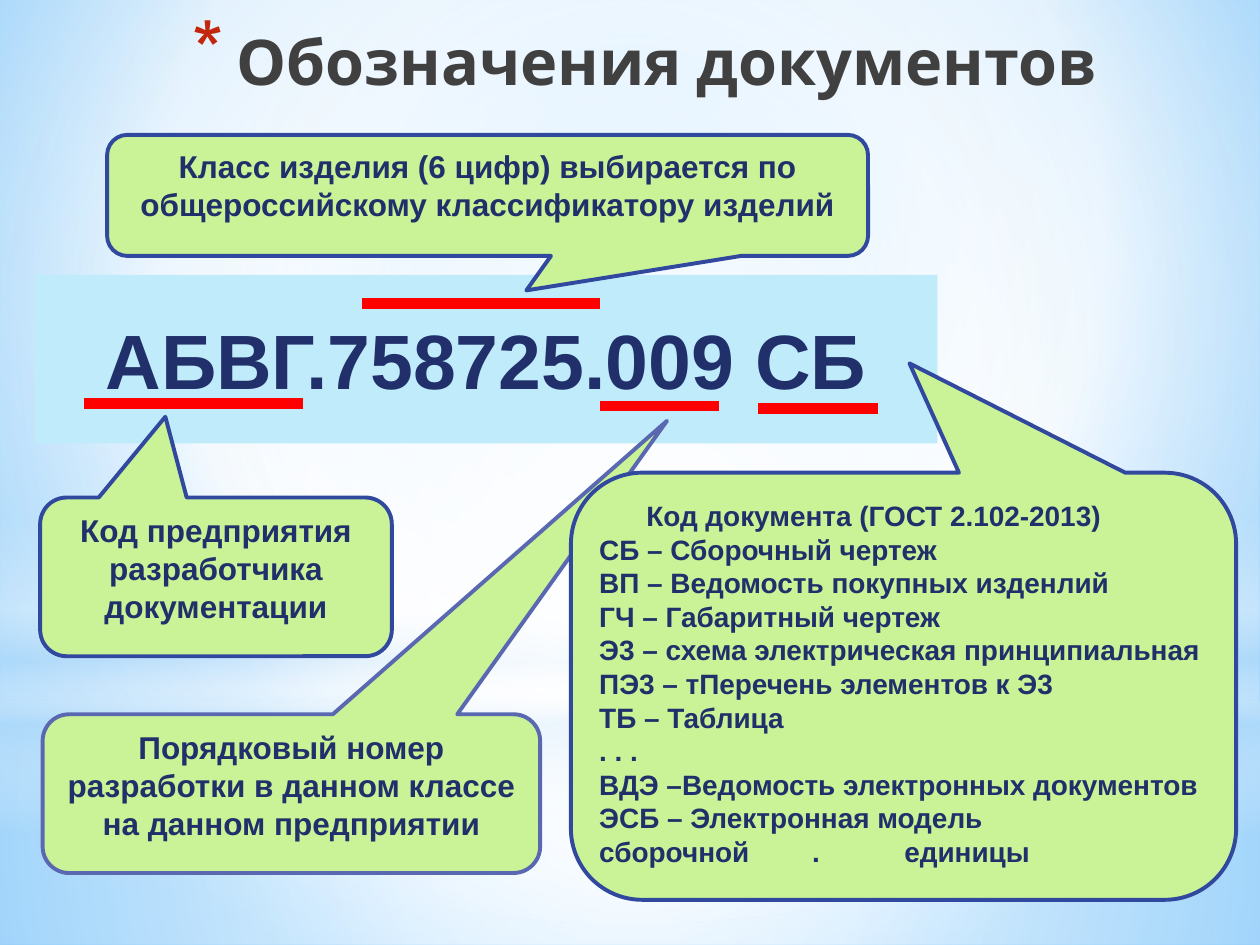
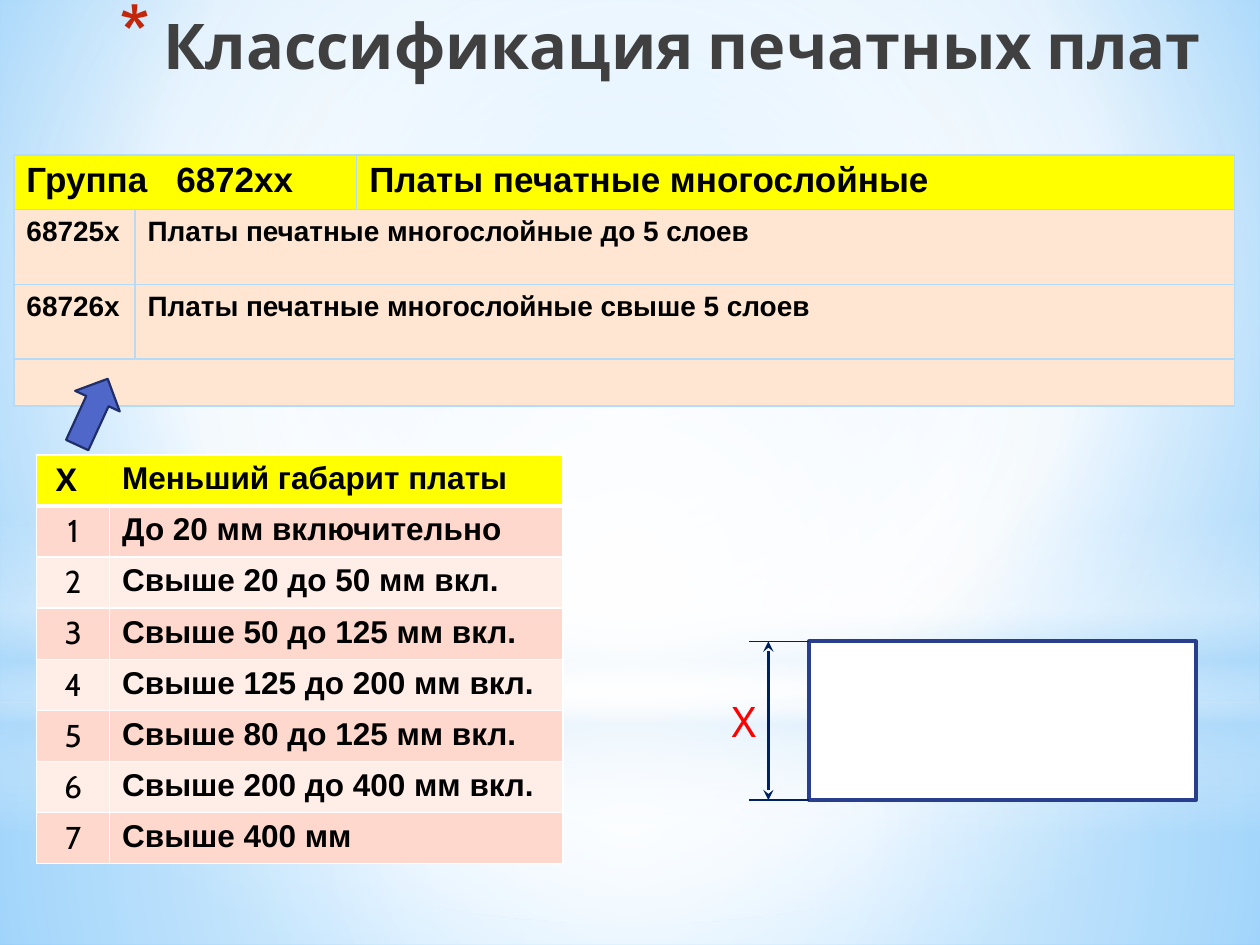
from dataclasses import dataclass

from pptx import Presentation
from pptx.dml.color import RGBColor
from pptx.enum.shapes import MSO_CONNECTOR, MSO_SHAPE
from pptx.enum.text import MSO_ANCHOR, MSO_AUTO_SIZE, PP_ALIGN
from pptx.oxml import parse_xml
from pptx.oxml.ns import nsdecls, qn
from pptx.util import Cm, Pt


@dataclass(frozen=True)
class TextStyle:
    size: float
    color: str
    font: str = "Arial"
    bold: bool = True
    align: PP_ALIGN = PP_ALIGN.LEFT


@dataclass(frozen=True)
class Theme:
    # Colours
    outline: str = "31489F"
    soft_outline: str = "5968B0"
    green: str = "CAF297"
    code_band: str = "BFEBFA"
    red: str = "FF0000"
    bullet: str = "C3260C"
    yellow: str = "FFFF00"
    peach: str = "FFE6D3"
    pink: str = "FFD8CD"
    pale_pink: str = "FFEDE8"
    sky: str = "B4DCFA"
    white: str = "FFFFFF"
    arrow: str = "4E67C8"
    arrow_line: str = "1F2E69"
    board_line: str = "2A3E8E"
    dimension: str = "002060"
    # Type
    title: TextStyle = TextStyle(36, "404040", "Cabin", align=PP_ALIGN.CENTER)
    code: TextStyle = TextStyle(44, "21306A", align=PP_ALIGN.CENTER)
    callout: TextStyle = TextStyle(18, "21306A", align=PP_ALIGN.CENTER)
    code_list: TextStyle = TextStyle(16, "21306A")
    group: TextStyle = TextStyle(20, "000000")
    subgroup: TextStyle = TextStyle(16, "000000")
    size_text: TextStyle = TextStyle(18, "000000")
    size_digit: TextStyle = TextStyle(18, "000000", "Cabin", False, PP_ALIGN.CENTER)
    size_head: TextStyle = TextStyle(18, "000000", "Cabin")
    dimension_label: TextStyle = TextStyle(24, "FF0000", "Cabin", False)


THEME = Theme()


def gradient(stops, focus=None, angle=0):
    """Gradient fill: stops are (position, colour, opacity) in percent."""
    marks = "".join(
        f'<a:gs pos="{pos * 1000}"><a:srgbClr val="{color}">'
        f'<a:alpha val="{alpha * 1000}"/></a:srgbClr></a:gs>'
        for pos, color, alpha in stops)
    if focus:
        sides = " ".join(f'{side}="{v * 1000}"' for side, v in zip("ltrb", focus))
        shade = f'<a:path path="circle"><a:fillToRect {sides}/></a:path>'
    else:
        shade = f'<a:lin ang="{angle * 60000}" scaled="0"/>'
    return parse_xml(f'<a:gradFill {nsdecls("a")} rotWithShape="1">'
                     f'<a:gsLst>{marks}</a:gsLst>{shade}</a:gradFill>')


def swap_solid(holder, fill):
    holder.replace(holder.find(qn("a:solidFill")), fill)


def indent(paragraph, left=0, first=0):
    props = paragraph._p.get_or_add_pPr()
    props.set("marL", str(Cm(left)))
    props.set("indent", str(Cm(first)))


def add_tabs(paragraph, *stops):
    marks = "".join(f'<a:tab pos="{Cm(stop)}" algn="l"/>' for stop in stops)
    paragraph._p.get_or_add_pPr().append(
        parse_xml(f'<a:tabLst {nsdecls("a")}>{marks}</a:tabLst>'))


class Deck:
    def __init__(self, theme):
        self.theme = theme
        self.prs = Presentation()
        self.prs.slide_width, self.prs.slide_height = Cm(25.4), Cm(19.05)
        self.slide = None

    def new_slide(self, title, left, top, width):
        self.slide = self.prs.slides.add_slide(self.prs.slide_layouts[5])
        heading = self.slide.shapes.title
        heading.left, heading.top, heading.width, heading.height = map(
            Cm, (left, top, width, 3.18))
        frame = heading.text_frame
        frame.auto_size = MSO_AUTO_SIZE.NONE
        frame.vertical_anchor = MSO_ANCHOR.TOP
        self.put_text(frame, [title], self.theme.title)
        line = frame.paragraphs[0]
        indent(line, 0.89, -0.89)
        for mark in (f'buClr {nsdecls("a")}><a:srgbClr val="{self.theme.bullet}"/></a:buClr',
                     f'buSzPct {nsdecls("a")} val="128000"/',
                     f'buChar {nsdecls("a")} char="*"/'):
            line._p.get_or_add_pPr().append(parse_xml(f"<a:{mark}>"))

    def put_text(self, frame, lines, style):
        frame.text = "\n".join(lines)
        for paragraph in frame.paragraphs:
            paragraph.alignment = style.align
            for run in paragraph.runs:
                run.font.name, run.font.size = style.font, Pt(style.size)
                run.font.bold = style.bold
                run.font.color.rgb = RGBColor.from_string(style.color)

    def shape(self, kind, box, fill, line=None, width=2.25):
        shape = self.slide.shapes.add_shape(kind, *map(Cm, box))
        shape.shadow.inherit = False
        shape.fill.solid()
        shape.fill.fore_color.rgb = RGBColor.from_string(fill)
        if line:
            shape.line.color.rgb = RGBColor.from_string(line)
            shape.line.width = Pt(width)
        else:
            shape.line.fill.background()
        return shape

    def callout(self, box, tip, lines, style, line):
        callout = self.shape(MSO_SHAPE.ROUNDED_RECTANGULAR_CALLOUT, box,
                             self.theme.green, line)
        for i, value in enumerate((*tip, 0.167)):
            callout.adjustments[i] = value
        callout.text_frame.vertical_anchor = MSO_ANCHOR.TOP
        self.put_text(callout.text_frame, lines, style)
        return callout.text_frame

    def line(self, x1, y1, x2, y2, color, width, arrows=False):
        line = self.slide.shapes.add_connector(
            MSO_CONNECTOR.STRAIGHT, *map(Cm, (x1, y1, x2, y2)))
        line.line.color.rgb = RGBColor.from_string(color)
        line.line.width = Pt(width)
        if arrows:
            for end in ("headEnd", "tailEnd"):
                line.line._get_or_add_ln().append(
                    parse_xml(f'<a:{end} {nsdecls("a")} type="stealth"/>'))
        line.element.spPr.append(parse_xml(f'<a:effectLst {nsdecls("a")}/>'))

    def label(self, box, text, style):
        label = self.slide.shapes.add_textbox(*map(Cm, box))
        label.text_frame.word_wrap = True
        self.put_text(label.text_frame, [text], style)

    def table(self, left, top, widths, heights, rows, fills, styles, border, head_rule=1):
        table = self.slide.shapes.add_table(
            len(rows), len(widths), Cm(left), Cm(top),
            Cm(sum(widths)), Cm(sum(heights))).table
        for column, width in zip(table.columns, widths):
            column.width = Cm(width)
        for r, (texts, height, fill) in enumerate(zip(rows, heights, fills)):
            table.rows[r].height = Cm(height)
            for c, (text, style) in enumerate(zip(texts, styles)):
                cell = table.cell(r, c)
                self.put_text(cell.text_frame, [text], style)
                self.borders(cell, border, {"T": head_rule if r == 1 else 1,
                                            "B": head_rule if r == 0 else 1})
                cell.fill.solid()
                cell.fill.fore_color.rgb = RGBColor.from_string(fill)
        return table

    def borders(self, cell, color, widths):
        props = cell._tc.get_or_add_tcPr()
        for side in "LRTB":
            props.append(parse_xml(
                f'<a:ln{side} {nsdecls("a")} w="{Pt(widths.get(side, 1))}"><a:solidFill>'
                f'<a:srgbClr val="{color}"/></a:solidFill></a:ln{side}>'))

    def paint_master(self):
        """Background and light bands shared by all slides."""
        master = self.prs.slide_master
        master.background.fill.solid()
        swap_solid(master.element.xpath("p:cSld/p:bg/p:bgPr")[0], gradient(
            [(0, "9ED5FF", 100), (60, "FFFFFF", 100), (100, "5BB9FF", 100)],
            (20, 10, 20, 60)))
        white, sky, center = self.theme.white, self.theme.sky, (50, 50, 50, 50)
        rect, oval = MSO_SHAPE.RECTANGLE, MSO_SHAPE.OVAL
        bands = [
            (rect, 14.17, 4.88, gradient(
                [(0, white, 91), (37, white, 76), (100, sky, 79)], center)),
            (rect, 0, 14.17, gradient(
                [(0, white, 89), (48, white, 62), (100, sky, 79)], center)),
            (rect, 10.46, 6.35, gradient(
                [(0, white, 0), (29, white, 30), (45, sky, 40), (55, white, 26),
                 (65, sky, 60), (100, white, 0)], angle=90)),
            (oval, 4.45, 14.17, gradient([(0, white, 100), (56, white, 0)], center)),
        ]
        for i, (kind, top, height, fill) in enumerate(bands):
            band = self.shape(kind, (0, top, 25.4, height), white).element
            swap_solid(band.spPr, fill)
            band.nvSpPr.cNvPr.set("id", str(100 + i))
            master.shapes.element.insert(2 + i, band)


def designations(deck):
    t = deck.theme
    deck.new_slide("Обозначения документов", 1.9, 0.33, 22.2)
    deck.paint_master()

    # Sample code
    code = deck.shape(MSO_SHAPE.RECTANGLE, (0.71, 5.54, 18.19, 3.4), t.code_band)
    deck.put_text(code.text_frame, ["АБВГ.758725.009 СБ"], t.code)

    # Parts of the code
    deck.callout((2.16, 2.72, 15.34, 2.44), (0.051, 0.785),
                 ["Класс изделия (6 цифр) выбирается по общероссийскому "
                  "классификатору изделий"], t.callout, t.outline)
    for x1, x2, y in ((7.29, 12.09, 6.12), (12.09, 14.5, 8.18), (1.7, 6.1, 8.13)):
        deck.line(x1, y, x2, y, t.red, 6)
    deck.callout((0.81, 10.03, 7.09, 3.2), (-0.144, -1.009),
                 ["Код предприятия разработчика документации"], t.callout, t.outline)
    deck.callout((0.86, 14.4, 10.03, 3.2), (0.755, -2.349),
                 ["Порядковый номер разработки в данном классе на данном предприятии"],
                 t.callout, t.soft_outline)

    # Document codes
    codes = deck.callout((11.51, 9.53, 13.41, 8.61), (0.009, -0.756), [
        "Код документа (ГОСТ 2.102-2013)",
        "СБ – Сборочный чертеж",
        "ВП – Ведомость покупных изденлий",
        "ГЧ – Габаритный чертеж",
        "Э3 – схема электрическая принципиальная",
        "ПЭ3 – тПеречень элементов к Э3",
        "ТБ – Таблица",
        ". . .",
        "ВДЭ –Ведомость электронных документов",
        "ЭСБ – Электронная модель\vсборочной\t.\tединицы",
    ], t.code_list, t.outline)
    codes.margin_left = codes.margin_right = Cm(0.15)
    codes.margin_top = codes.margin_bottom = Cm(0.1)
    indent(codes.paragraphs[0], first=0.95)
    add_tabs(codes.paragraphs[-1], 4.29, 6.15)
    deck.line(15.29, 8.23, 17.7, 8.23, t.red, 6)


def board_classes(deck):
    t = deck.theme
    deck.new_slide("Классификация печатных плат", 2.11, 0, 22.4)

    # Subgroups, with the first row reaching under the group heading
    subgroups = deck.table(
        0.28, 3.5, (2.44, 22.17), (2.24, 1.5, 0.94),
        [("68725х", "Платы печатные многослойные до 5 слоев"),
         ("68726х", "Платы печатные многослойные свыше 5 слоев"),
         ("", "")],
        [t.peach] * 3, [t.subgroup] * 2, t.sky)
    for c in range(2):
        subgroups.cell(0, c).margin_top = Cm(0.86)
        subgroups.cell(2, c).margin_top = 0
    subgroups.cell(2, 0).merge(subgroups.cell(2, 1))

    # Board sizes
    ranges = ["До 20 мм включительно", "Свыше 20 до 50 мм вкл.",
              "Свыше 50 до 125 мм вкл.", "Свыше 125 до 200 мм вкл.",
              "Свыше 80 до 125 мм вкл.", "Свыше 200 до 400 мм вкл.", "Свыше 400 мм"]
    digits = [(str(n), text) for n, text in enumerate(ranges, 1)]
    stripes = [t.pale_pink if i % 2 else t.pink for i in range(len(ranges))]
    sizes = deck.table(
        0.74, 9.17, (1.47, 9.14), [1.03] * 8,
        [("Х", "Меньший габарит платы"), *digits],
        [t.yellow, *stripes], [t.size_digit, t.size_text], t.white, head_rule=3)
    size_head = sizes.cell(0, 0).text_frame
    deck.put_text(size_head, ["Х"], t.size_head)
    indent(size_head.paragraphs[0], 0.13)

    # Pointer to the digit
    pointer = deck.shape(MSO_SHAPE.UP_ARROW, (1.37, 7.57, 0.99, 1.47),
                         t.arrow, t.arrow_line, 1.25)
    pointer.rotation = 24.7

    # Board with its smaller dimension
    left, top, width, height = board = (16.31, 12.93, 7.8, 3.2)
    deck.shape(MSO_SHAPE.RECTANGLE, board, t.white, t.board_line)
    deck.line(15.49, top, 15.49, top + height, t.dimension, 1.5, arrows=True)
    for y in (top, top + height):
        deck.line(left, y, 15.09, y, t.dimension, 1)
    deck.label((14.5, 13.89, 0.79, 1.27), "Х", t.dimension_label)

    # Group heading
    group = deck.table(0.28, 3.12, (6.91, 17.7), [1.09],
                       [("Группа\t6872хх", "Платы печатные многослойные")],
                       [t.yellow], [t.group] * 2, t.sky)
    add_tabs(group.cell(0, 0).text_frame.paragraphs[0], 3.02)


def main():
    deck = Deck(THEME)
    designations(deck)
    board_classes(deck)
    deck.prs.save("out.pptx")


if __name__ == "__main__":
    main()
